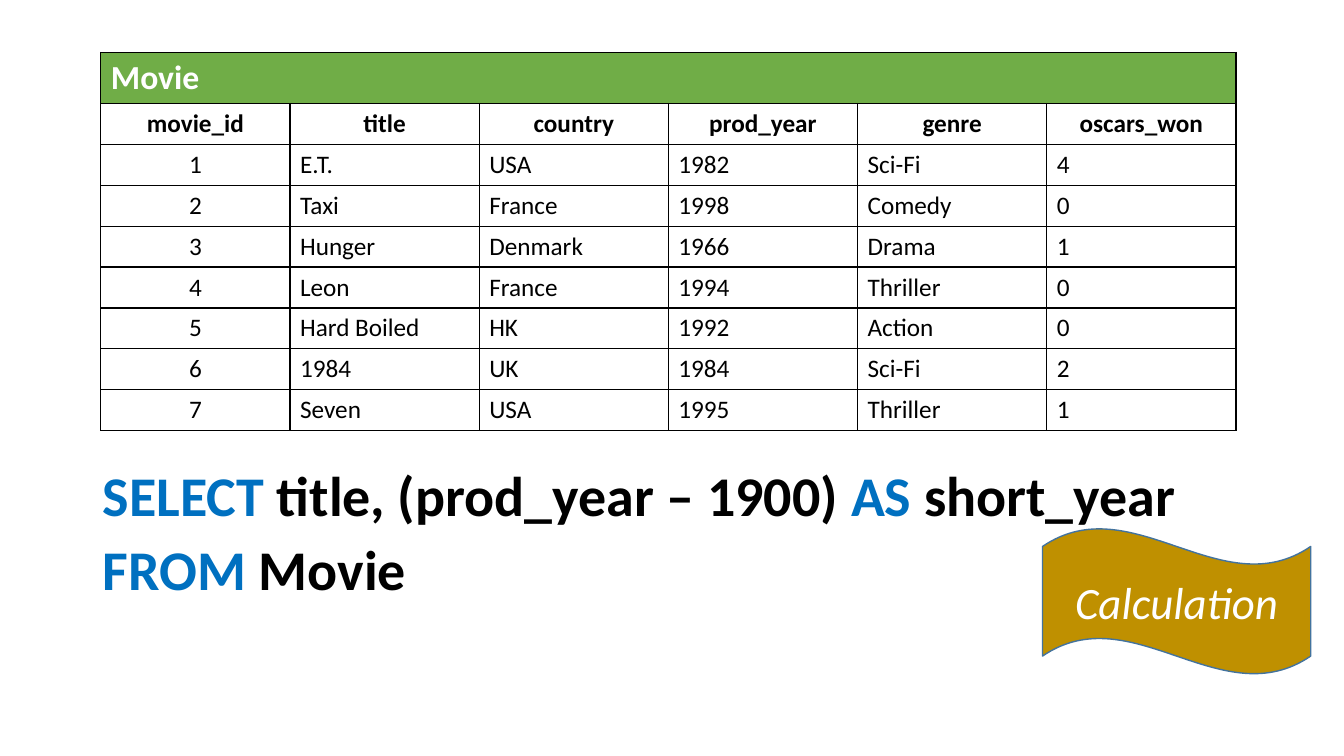
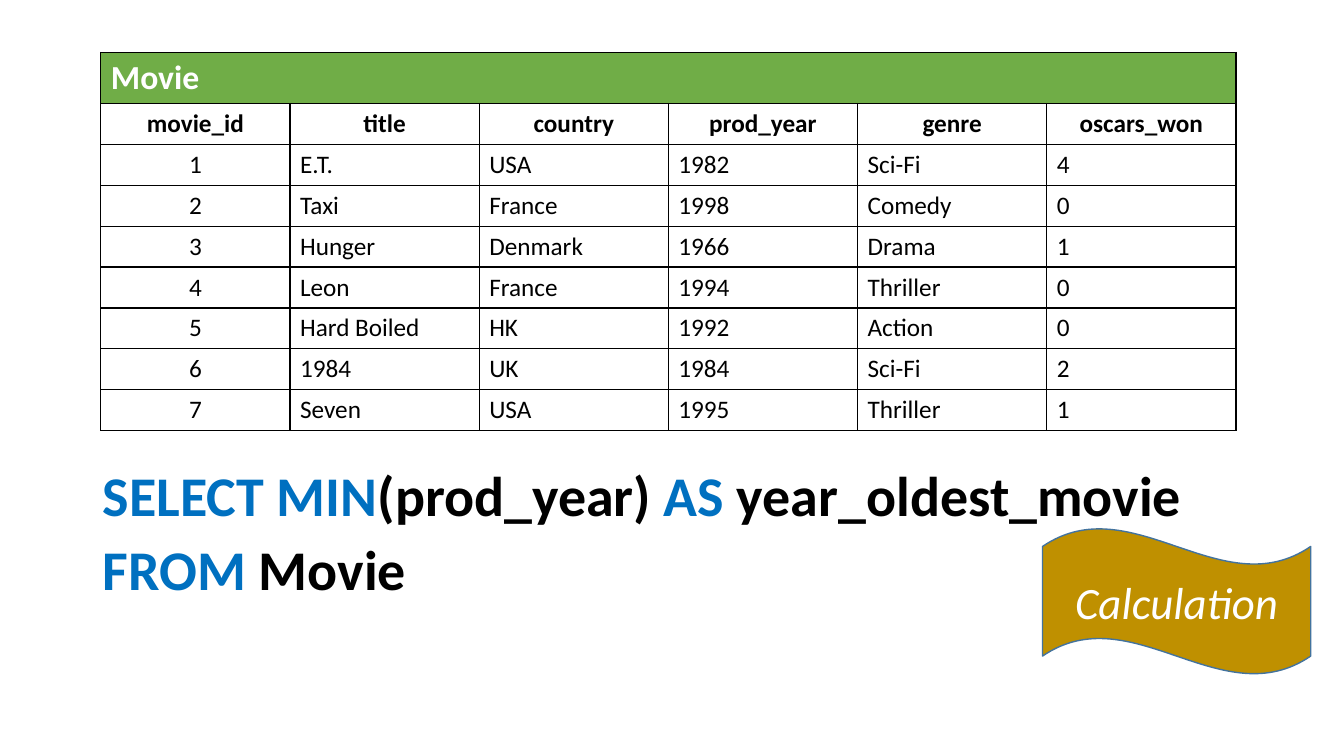
import pptx
import pptx.util
import pptx.dml.color
import pptx.enum.shapes
import pptx.enum.text
import pptx.oxml

Inch, Pt = pptx.util.Inches, pptx.util.Pt
ALIGN, ANCHOR = pptx.enum.text.PP_ALIGN, pptx.enum.text.MSO_ANCHOR
NS = 'xmlns:a="http://schemas.openxmlformats.org/drawingml/2006/main"'

# Shared look
FACE = "Calibri"
BLACK, WHITE, GREEN = "000000", "FFFFFF", "70AD47"
BLUE, GOLD, EDGE = "0070C0", "BF9000", "43739E"

# Shared table: column names, then one row for each movie
HEADS = ["movie_id", "title", "country", "prod_year", "genre", "oscars_won"]
FILMS = [
    ["1", "E.T.", "USA", "1982", "Sci-Fi", "4"],
    ["2", "Taxi", "France", "1998", "Comedy", "0"],
    ["3", "Hunger", "Denmark", "1966", "Drama", "1"],
    ["4", "Leon", "France", "1994", "Thriller", "0"],
    ["5", "Hard Boiled", "HK", "1992", "Action", "0"],
    ["6", "1984", "UK", "1984", "Sci-Fi", "2"],
    ["7", "Seven", "USA", "1995", "Thriller", "1"],
]
ROWS = [["Movie"] + [""] * 5, HEADS] + FILMS

# Queries: pieces between bars are keyword and plain text in turn
QUERIES = [
    ["SELECT| title, (prod_year – 1900) |AS| short_year", "FROM| Movie"],
    ["SELECT MIN|(prod_year) |AS| year_oldest_movie", "FROM| Movie"],
]


def tint(code):
    return pptx.dml.color.RGBColor.from_string(code)


def style(font, size, code, bold=False, italic=False):
    font.name, font.size = FACE, Pt(size)
    font.bold, font.italic = bold, italic
    font.color.rgb = tint(code)


deck = pptx.Presentation()
deck.slide_width, deck.slide_height = Inch(13.33), Inch(7.5)

for query in QUERIES:
    slide = deck.slides.add_slide(deck.slide_layouts[1])
    title = slide.shapes.title.element
    title.getparent().remove(title)

    # Query in the body placeholder
    body = slide.placeholders[1]
    body.left, body.top = Inch(0.92), Inch(4.59)
    body.width, body.height = Inch(11.5), Inch(2.17)
    frame = body.text_frame
    frame.auto_size = pptx.enum.text.MSO_AUTO_SIZE.NONE
    for n, line in enumerate(query):
        para = frame.add_paragraph() if n else frame.paragraphs[0]
        props = para._p.get_or_add_pPr()
        props.set("marL", "0")
        props.set("indent", "0")
        props.append(pptx.oxml.parse_xml(f"<a:buNone {NS}/>"))
        para.line_spacing = 0.9
        para.space_before = Pt(10 if n else 0)
        for k, piece in enumerate(line.split("|")):
            run = para.add_run()
            run.text = piece
            style(run.font, 40, BLACK if k % 2 else BLUE, bold=True)

    # Wave label
    wave = slide.shapes.add_shape(
        pptx.enum.shapes.MSO_SHAPE.WAVE,
        Inch(10.34), Inch(5.24), Inch(2.66), Inch(1.45))
    wave.shadow.inherit = False
    wave.fill.solid()
    wave.fill.fore_color.rgb = tint(GOLD)
    wave.line.color.rgb = tint(EDGE)
    wave.line.width = Pt(1)
    wave.text_frame.text = "Calculation"
    wave.text_frame.vertical_anchor = ANCHOR.MIDDLE
    label = wave.text_frame.paragraphs[0]
    label.alignment = ALIGN.CENTER
    style(label.runs[0].font, 32, WHITE, italic=True)

    # Movie table
    table = slide.shapes.add_table(
        len(ROWS), len(HEADS), Inch(1), Inch(0.52), Inch(11.26), Inch(3.7)).table
    for r, row in enumerate(ROWS):
        table.rows[r].height = Inch(0.4 if r else 0.5)
        for c, text in enumerate(row):
            cell = table.cell(r, c)
            props = cell._tc.get_or_add_tcPr()
            for side in "LRTB":
                props.append(pptx.oxml.parse_xml(
                    f'<a:ln{side} {NS} w="12700"><a:solidFill>'
                    f'<a:srgbClr val="{BLACK}"/></a:solidFill></a:ln{side}>'))
            cell.fill.solid()
            cell.fill.fore_color.rgb = tint(WHITE if r else GREEN)
            cell.text_frame.text = text
            para = cell.text_frame.paragraphs[0]
            mid = r == 1 or (r > 1 and c == 0)
            para.alignment = ALIGN.CENTER if mid else ALIGN.LEFT
            style(para.font, 18 if r else 24, BLACK if r else WHITE, bold=r < 2)
            for run in para.runs:
                style(run.font, 18 if r else 24, BLACK if r else WHITE, bold=r < 2)
    table.cell(0, 0).merge(table.cell(0, len(HEADS) - 1))

deck.save("out.pptx")
